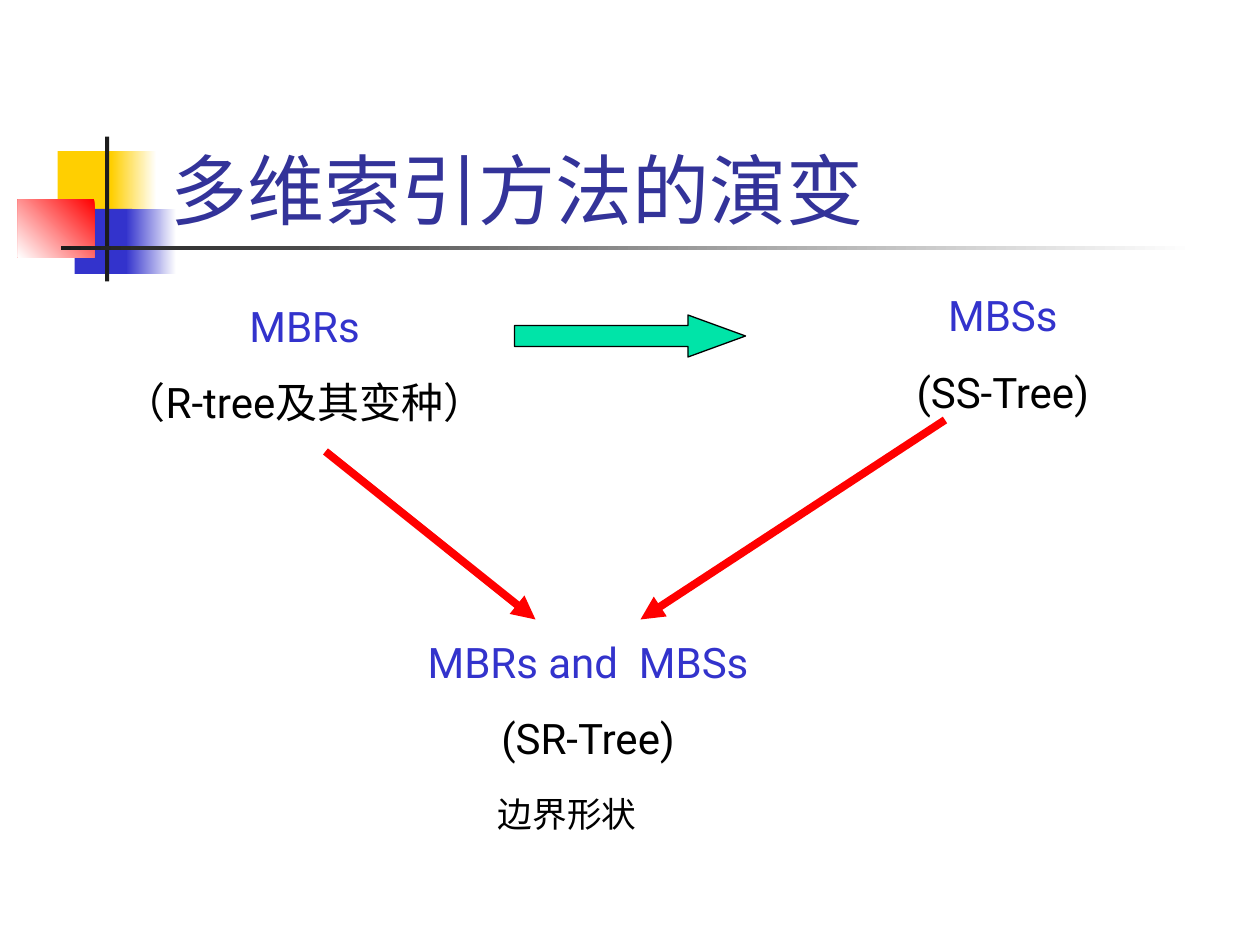
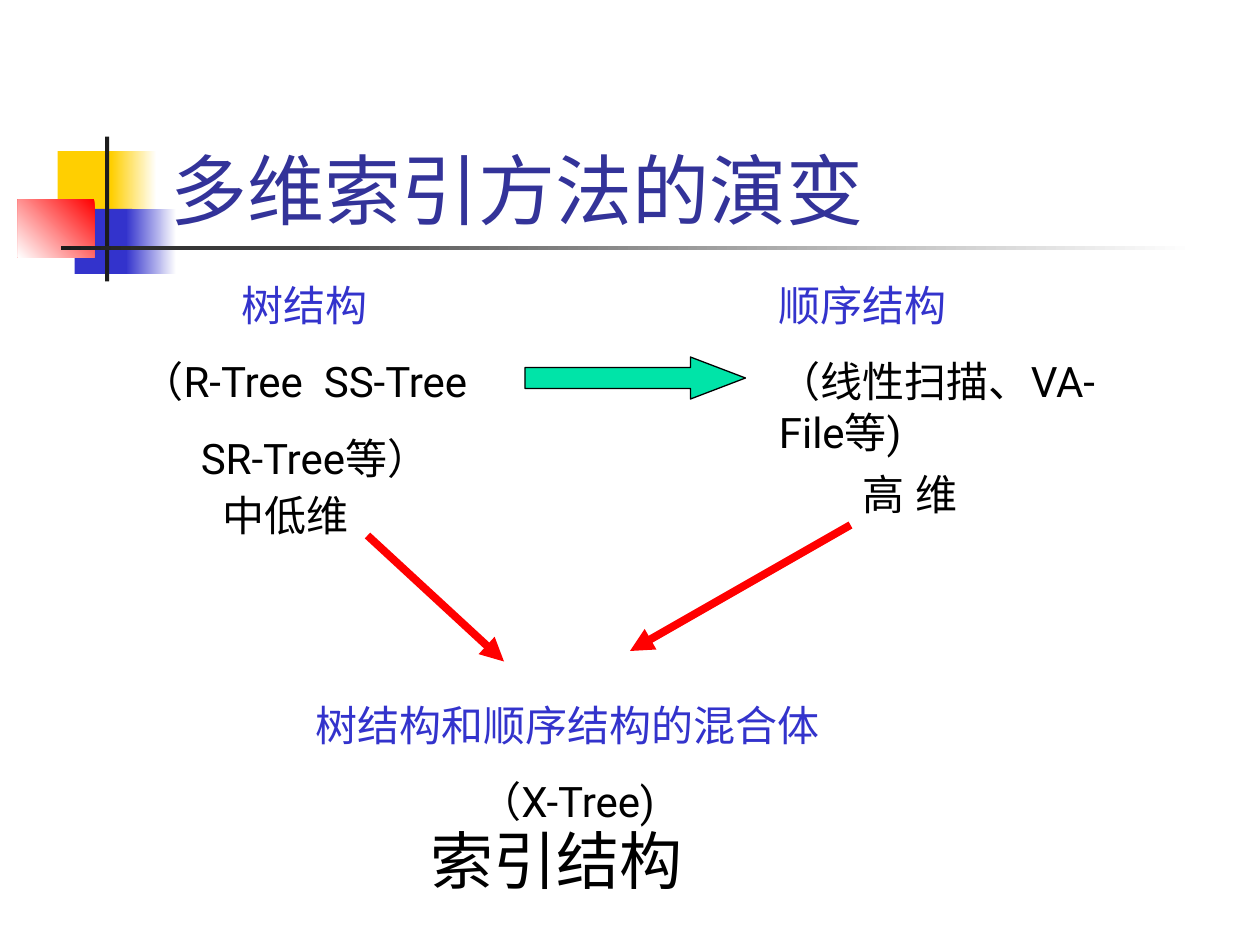
from dataclasses import dataclass

from lxml import etree
from pptx import Presentation
from pptx.dml.color import RGBColor
from pptx.enum.shapes import MSO_CONNECTOR, MSO_SHAPE
from pptx.enum.text import MSO_ANCHOR, PP_ALIGN
from pptx.oxml.ns import qn
from pptx.util import Inches, Pt

RECTANGLE, RIGHT_ARROW = MSO_SHAPE.RECTANGLE, MSO_SHAPE.RIGHT_ARROW
STRAIGHT = MSO_CONNECTOR.STRAIGHT
LEFT, CENTER = PP_ALIGN.LEFT, PP_ALIGN.CENTER
TOP, BOTTOM = MSO_ANCHOR.TOP, MSO_ANCHOR.BOTTOM

WIDTH, HEIGHT = Inches(10), Inches(7.5)
COLUMNS, ROWS = 120, 90
FONT = "Roboto"
TITLE = "多维索引方法的演变"
COLORS = {
    "white": "FFFFFF",
    "black": "000000",
    "ink": "1C1C1C",
    "yellow": "FFCF01",
    "blue": "3333CC",
    "red": "FF0000",
    "title": "333399",
    "green": "00E4A8",
}


@dataclass(frozen=True)
class Area:
    """A place on the grid, in columns and rows."""
    column: float
    row: float
    columns: float
    rows: float

    def lengths(self) -> tuple[int, int, int, int]:
        return (across(self.column), down(self.row),
                across(self.columns), down(self.rows))


@dataclass(frozen=True)
class Block:
    """A solid block, or one that fades from its start to its end colour."""
    area: Area
    color: str
    fade_to: str = ""
    angle: int = 180


@dataclass(frozen=True)
class Line:
    text: str
    color: str = "black"
    indent: float = 0


@dataclass(frozen=True)
class Label:
    area: Area
    lines: tuple[Line, ...]
    size: float = 24
    align: PP_ALIGN = CENTER
    anchor: MSO_ANCHOR = TOP
    line_spacing: float = 1


@dataclass(frozen=True)
class BlockArrow:
    area: Area
    head: float


@dataclass(frozen=True)
class Pointer:
    """A red arrow between two grid points."""
    start: tuple[float, float]
    end: tuple[float, float]


@dataclass(frozen=True)
class Evolution:
    """What one slide shows: two methods that merge into a third."""
    labels: tuple[Label, ...]
    step: BlockArrow
    pointers: tuple[Pointer, ...]


MOTIF = (
    Block(Area(5.5, 14.4, 5.8, 6.2), "yellow"),
    Block(Area(10.6, 14.4, 4.3, 6.2), "white", "yellow"),
    Block(Area(7.1, 19.9, 5.5, 6.2), "blue"),
    Block(Area(12, 19.9, 4.8, 6.2), "white", "blue"),
    Block(Area(1.7, 19, 7.3, 5.5), "red", "white", 225),
    Block(Area(10, 13, 0.4, 13.8), "ink"),
    Block(Area(5.8, 23.4, 108, 0.4), "white", "ink"),
)
TITLE_LABEL = Label(Area(15.1, 8, 102.2, 15), (Line(TITLE, "title"),),
                    size=44, align=LEFT, anchor=BOTTOM)

BOUNDING_SHAPES = Evolution(
    labels=(
        Label(Area(29, 76, 50, 7.5), (Line("边界形状"),), 19.8, line_spacing=0.7),
        Label(Area(10, 28, 38, 18),
              (Line("MBRs", "blue"), Line("（R-tree及其变种）"))),
        Label(Area(82, 27, 27, 13.3),
              (Line("MBSs", "blue"), Line("(SS-Tree)"))),
        Label(Area(39, 60, 34, 13.3),
              (Line("MBRs and  MBSs", "blue"), Line("(SR-Tree)"))),
    ),
    step=BlockArrow(Area(49, 30, 22, 4), 1.37),
    pointers=(Pointer((31, 43), (51, 59)), Pointer((90, 40), (61, 59))),
)
INDEX_STRUCTURES = Evolution(
    labels=(
        Label(Area(11, 26, 36, 20.6),
              (Line("树结构", "blue"), Line("（R-Tree  SS-Tree"),
               Line("SR-Tree等）", indent=2))),
        Label(Area(20, 46, 18, 6), (Line("中低维"),), align=LEFT),
        Label(Area(73, 26, 37, 18),
              (Line("顺序结构", "blue"), Line("（线性扫描、VA-File等)")),
              align=LEFT),
        Label(Area(81, 44, 13, 6), (Line("高 维"),), align=LEFT),
        Label(Area(28, 66, 52, 13.3),
              (Line("树结构和顺序结构的混合体", "blue"), Line("（X-Tree)"))),
        Label(Area(28, 79, 50, 7.5), (Line("索引结构"),), 36, line_spacing=0.8),
    ),
    step=BlockArrow(Area(50, 34, 21, 4), 1.31),
    pointers=(Pointer((35, 51), (48, 63)), Pointer((81, 50), (60, 62))),
)


def across(columns: float) -> int:
    return round(WIDTH * columns / COLUMNS)


def down(rows: float) -> int:
    return round(HEIGHT * rows / ROWS)


def rgb(name: str) -> RGBColor:
    return RGBColor.from_string(COLORS[name])


def draw_block(slide, block: Block) -> None:
    shape = slide.shapes.add_shape(RECTANGLE, *block.area.lengths())
    shape.shadow.inherit = False
    shape.line.fill.background()
    if not block.fade_to:
        shape.fill.solid()
        shape.fill.fore_color.rgb = rgb(block.color)
        return
    shape.fill.gradient()
    shape.fill.gradient_angle = block.angle
    for stop, name in zip(shape.fill.gradient_stops, (block.color, block.fade_to)):
        stop.color.rgb = rgb(name)


def draw_label(slide, label: Label) -> None:
    box = slide.shapes.add_textbox(*label.area.lengths())
    frame = box.text_frame
    frame.word_wrap = True
    frame.vertical_anchor = label.anchor
    frame.text = "\n".join(line.text for line in label.lines)
    for index, (para, line) in enumerate(zip(frame.paragraphs, label.lines)):
        para.alignment = label.align
        if label.line_spacing != 1:
            para.line_spacing = label.line_spacing
        if index:
            para.space_before = Pt(15)
        if line.indent:
            para._p.get_or_add_pPr().set("marL", str(across(line.indent)))
        for span in para.runs:
            span.font.size = Pt(label.size)
            span.font.color.rgb = rgb(line.color)
            span.font.name = FONT
            east_asian = etree.SubElement(span.font._element, qn("a:ea"))
            east_asian.set("typeface", FONT)


def draw_block_arrow(slide, arrow: BlockArrow) -> None:
    shape = slide.shapes.add_shape(RIGHT_ARROW, *arrow.area.lengths())
    shape.shadow.inherit = False
    shape.adjustments[0] = 0.5
    shape.adjustments[1] = arrow.head
    shape.fill.solid()
    shape.fill.fore_color.rgb = rgb("green")
    shape.line.color.rgb = rgb("black")
    shape.line.width = Pt(0.75)


def draw_pointer(slide, pointer: Pointer) -> None:
    (start_column, start_row), (end_column, end_row) = pointer.start, pointer.end
    connector = slide.shapes.add_connector(
        STRAIGHT, across(start_column), down(start_row),
        across(end_column), down(end_row))
    connector.line.color.rgb = rgb("red")
    connector.line.width = Pt(4.5)
    properties = connector._element.spPr
    tip = etree.SubElement(properties.find(qn("a:ln")), qn("a:tailEnd"))
    tip.set("type", "triangle")
    etree.SubElement(properties, qn("a:effectLst"))


def add_evolution_slide(deck, evolution: Evolution) -> None:
    slide = deck.slides.add_slide(deck.slide_layouts[6])
    for block in MOTIF:
        draw_block(slide, block)
    for label in (TITLE_LABEL, *evolution.labels):
        draw_label(slide, label)
    draw_block_arrow(slide, evolution.step)
    for pointer in evolution.pointers:
        draw_pointer(slide, pointer)


def main() -> None:
    deck = Presentation()
    deck.slide_width, deck.slide_height = WIDTH, HEIGHT
    for evolution in (BOUNDING_SHAPES, INDEX_STRUCTURES):
        add_evolution_slide(deck, evolution)
    deck.save("out.pptx")


if __name__ == "__main__":
    main()
